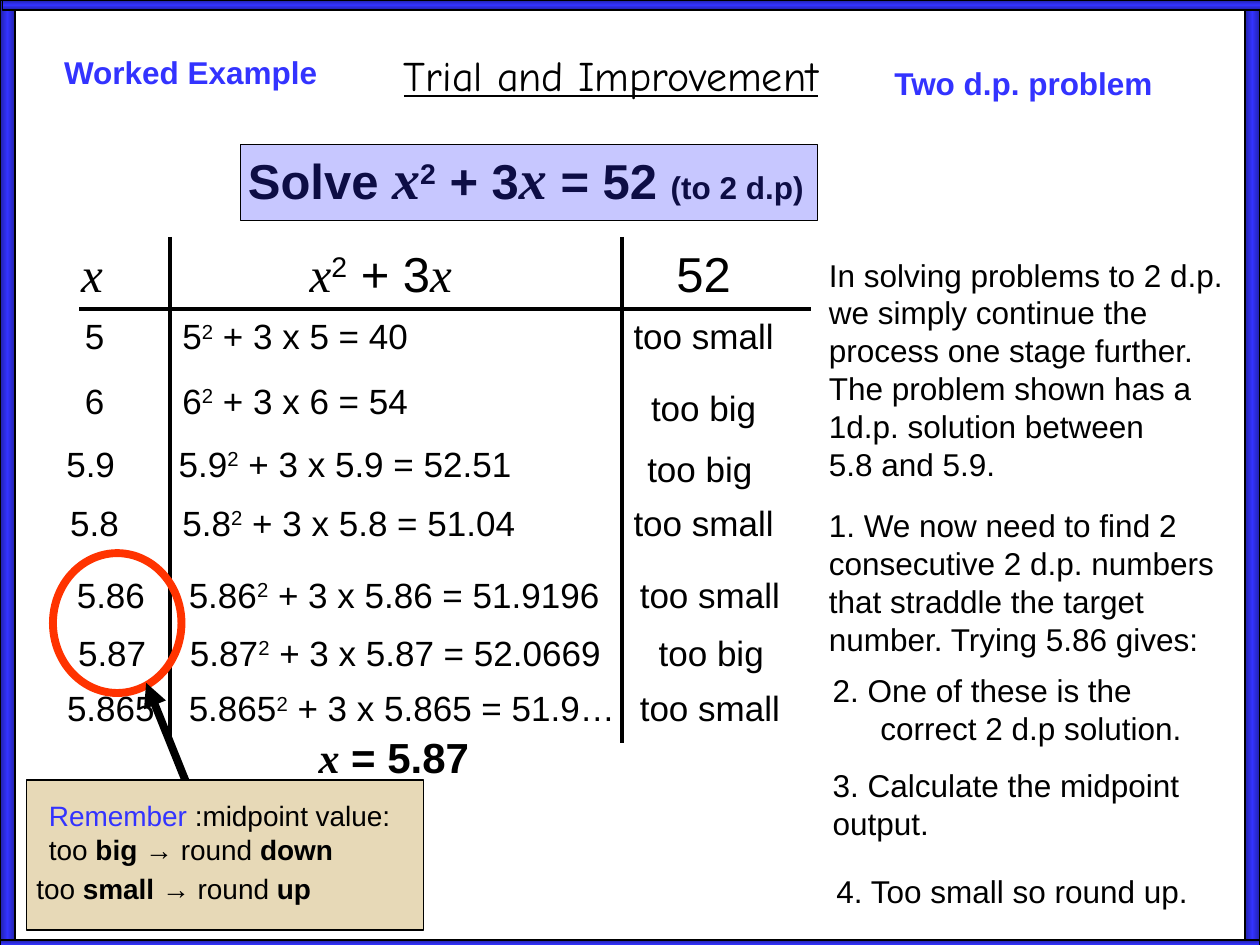
from copy import deepcopy

from lxml.etree import SubElement
from pptx import Presentation
from pptx.dml.color import RGBColor
from pptx.enum.shapes import MSO_CONNECTOR, MSO_SHAPE
from pptx.enum.text import MSO_AUTO_SIZE, PP_ALIGN
from pptx.oxml.ns import qn
from pptx.util import Inches, Pt

BLACK, BLUE, DARK_BLUE = "000000", "3333FF", "2121A8"
RED, SAND = "FF3300", "E7D9B7"
SUPER = {"raised": True}
BOLD = {"bold": True}


def rgb(color):
    return RGBColor.from_string(color)


def variable(size=None):
    style = {"name": "Times New Roman", "italic": True}
    return ("x", {**style, "size": Pt(size)} if size else style)


def write_runs(paragraph, runs):
    """Runs are plain strings or (text, style) pairs; a newline breaks the line."""
    for item in [runs] if isinstance(runs, str) else runs:
        text, style = (item, {}) if isinstance(item, str) else item
        for index, line in enumerate(text.split("\n")):
            if index:
                paragraph.add_line_break()
            run = paragraph.add_run()
            run.text = line
            for key, value in style.items():
                if key == "raised":
                    run._r.get_or_add_rPr().set("baseline", "30000")
                elif key == "color":
                    run.font.color.rgb = rgb(value)
                else:
                    setattr(run.font, key, value)


def add_text(slide, box, *paragraphs, size=18, color=BLACK, bold=False,
             font="Arial", align=PP_ALIGN.LEFT):
    frame = slide.shapes.add_textbox(*map(Inches, box)).text_frame
    frame.word_wrap = True
    frame.auto_size = MSO_AUTO_SIZE.SHAPE_TO_FIT_TEXT
    for index, runs in enumerate(paragraphs):
        paragraph = frame.add_paragraph() if index else frame.paragraphs[0]
        paragraph.alignment = align
        paragraph.font.name = font
        paragraph.font.size = Pt(size)
        paragraph.font.bold = bold
        paragraph.font.color.rgb = rgb(color)
        write_runs(paragraph, runs)
    return frame


def add_outlined(slide, kind, box, line=BLACK, width=0.75, fill=None):
    shape = slide.shapes.add_shape(kind, *map(Inches, box))
    shape.shadow.inherit = False
    shape.line.color.rgb = rgb(line)
    shape.line.width = Pt(width)
    if fill:
        shape.fill.solid()
        shape.fill.fore_color.rgb = rgb(fill)
    else:
        shape.fill.background()
    return shape


def add_line(slide, start, end, width=2.25, arrow=False):
    line = slide.shapes.add_connector(
        MSO_CONNECTOR.STRAIGHT, *map(Inches, (*start, *end)))
    line.line.color.rgb = rgb(BLACK)
    line.line.width = Pt(width)
    if arrow:
        SubElement(line.line._get_or_add_ln(), qn("a:tailEnd"), type="triangle")
    SubElement(line._element.spPr, qn("a:effectLst"))


def add_border(slide, width, height):
    bars = [((0, 0, 0.12, height), 0), ((width - 0.12, 0, 0.12, height), 0),
            ((0.02, 0, width, 0.08), 90), ((0, height - 0.04, width, 0.08), 90)]
    for box, angle in bars:
        bar = add_outlined(slide, MSO_SHAPE.RECTANGLE, box)
        bar.fill.gradient()
        bar.fill.gradient_angle = angle
        stops = bar._element.spPr.find(qn("a:gradFill")).find(qn("a:gsLst"))
        stops.append(deepcopy(stops[0]))
        shades = zip(bar.fill.gradient_stops, (DARK_BLUE, BLUE, DARK_BLUE), (0, 0.5, 1))
        for stop, shade, position in shades:
            stop.color.rgb = rgb(shade)
            stop.position = position


def add_headings(slide):
    add_text(slide, (1.49, 0.34, 6.72, 0.5), [("Trial and Improvement", {"underline": True})],
             size=24, font="Comic Neue", align=PP_ALIGN.CENTER)
    add_text(slide, (0.41, 0.37, 2.69, 0.4), "Worked Example", color=BLUE, bold=True)
    add_text(slide, (7, 0.46, 2.69, 0.4), "Two d.p. problem", color=BLUE, bold=True)


def add_problem(slide, left, top):
    add_text(slide, (left, top, 4.9, 0.64),
             ["Solve ", variable(32), ("2", SUPER), " + 3", variable(32), " = 52 ",
              ("(to 2 d.p)", {"size": Pt(18)})], size=28, bold=True)
    panel = add_outlined(slide, MSO_SHAPE.RECTANGLE,
                         (left + 0.04, top + 0.06, 4.58, 0.6), fill=BLUE)
    tint = panel._element.spPr.find(qn("a:solidFill"))[0]
    SubElement(tint, qn("a:alpha"), val="27000")


def add_trials(slide, left, top):
    center = PP_ALIGN.CENTER
    working_left, verdict_left = left + 1.03, left + 4.41
    add_text(slide, (left - 0.1, top, 1.02, 0.57), [variable()], size=28, align=center)
    add_text(slide, (left + 2.04, top, 1.98, 0.57),
             [variable(), ("2", SUPER), " + 3", variable()], size=28)
    add_text(slide, (verdict_left, top, 1.71, 0.57), "52", size=28, align=center)

    # value, result, verdict, row top, row shift, value shift, verdict drop
    trials = [
        ("5", "40", "too small", 0.57, 0, -0.08, 0),
        ("6", "54", "too big", 1.08, 0, -0.08, 0.06),
        ("5.9", "52.51", "too big", 1.58, -0.03, -0.08, 0.04),
        ("5.8", "51.04", "too small", 2.05, 0, -0.08, 0),
        ("5.86", "51.9196", "too small", 2.62, 0.05, 0, 0),
        ("5.87", "52.0669", "too big", 3.08, 0.06, 0, 0),
        ("5.865", "51.9…", "too small", 3.52, 0.05, 0, 0),
    ]
    for value, result, verdict, row, shift, value_shift, drop in trials:
        y = top + row
        add_text(slide, (left + shift + value_shift, y, 1.02, 0.44), value,
                 size=20, align=center)
        add_text(slide, (working_left + shift, y, 3.76, 0.44),
                 [value, ("2", SUPER), f" + 3 x {value} = {result}"], size=20)
        add_text(slide, (verdict_left + shift, y + drop, 1.71, 0.44), verdict,
                 size=20, align=center)

    for x in (working_left, left + 4.62):
        add_line(slide, (x, top), (x, top + 4.02))
    add_line(slide, (left + 0.31, top + 0.57), (left + 6.12, top + 0.57))
    add_text(slide, (left + 2.11, top + 3.88, 1.42, 0.5), [variable(), " = 5.87"],
             size=24, bold=True)


def add_steps(slide, left):
    steps = [
        (0, 1.98, 1.9, "In solving problems to 2 d.p. we simply continue the process one "
                       "stage further. The problem shown has a 1d.p. solution between\n"
                       "5.8 and 5.9."),
        (0, 3.97, 1.3, "1. We now need to find 2 consecutive 2 d.p. numbers that straddle "
                       "the target number. Trying 5.86 gives:"),
        (0.03, 6.03, 0.7, "3. Calculate the midpoint output."),
        (0.06, 6.87, 0.4, "4. Too small so round up."),
    ]
    for shift, top, height, step in steps:
        add_text(slide, (left + shift, top, 3.35, height), step)
    hanging = add_text(slide, (left + 0.03, 5.28, 3.17, 0.7),
                       "2. One of these is the correct 2 d.p solution.")
    indent_paragraph(hanging.paragraphs[0], 0.38, -0.38)


def indent_paragraph(paragraph, margin, first_line=0):
    properties = paragraph._p.get_or_add_pPr()
    properties.set("marL", str(Inches(margin)))
    properties.set("indent", str(Inches(first_line)))


def add_reminder(slide, left, top):
    add_outlined(slide, MSO_SHAPE.OVAL, (left + 0.21, top - 1.8, 1.02, 1.11), RED, 4.5)
    add_line(slide, (left + 1.28, top + 0.05), (left + 0.95, top - 0.77), 4.5, arrow=True)
    add_outlined(slide, MSO_SHAPE.RECTANGLE, (left, top, 3.15, 1.19), fill=SAND)
    reminder = add_text(
        slide, (left - 0.02, top + 0.1, 3.1, 0.94),
        [("Remember", {"color": BLUE}), " :midpoint value:"],
        ["too ", ("big ", BOLD), "→ round ", ("down", BOLD)],
        ["too ", ("small ", BOLD), "→ round ", ("up", BOLD)], size=16)
    for paragraph in reminder.paragraphs[:2]:
        indent_paragraph(paragraph, 0.1)
    reminder.paragraphs[2].space_before = Pt(3)


def main():
    deck = Presentation()
    deck.slide_width, deck.slide_height = Inches(10), Inches(7.5)
    slide = deck.slides.add_slide(deck.slide_layouts[6])
    add_border(slide, 10, 7.5)
    add_headings(slide)
    add_problem(slide, 1.87, 1.09)
    add_trials(slide, 0.32, 1.88)
    add_steps(slide, 6.48)
    add_reminder(slide, 0.21, 6.19)
    deck.save("out.pptx")


if __name__ == "__main__":
    main()
